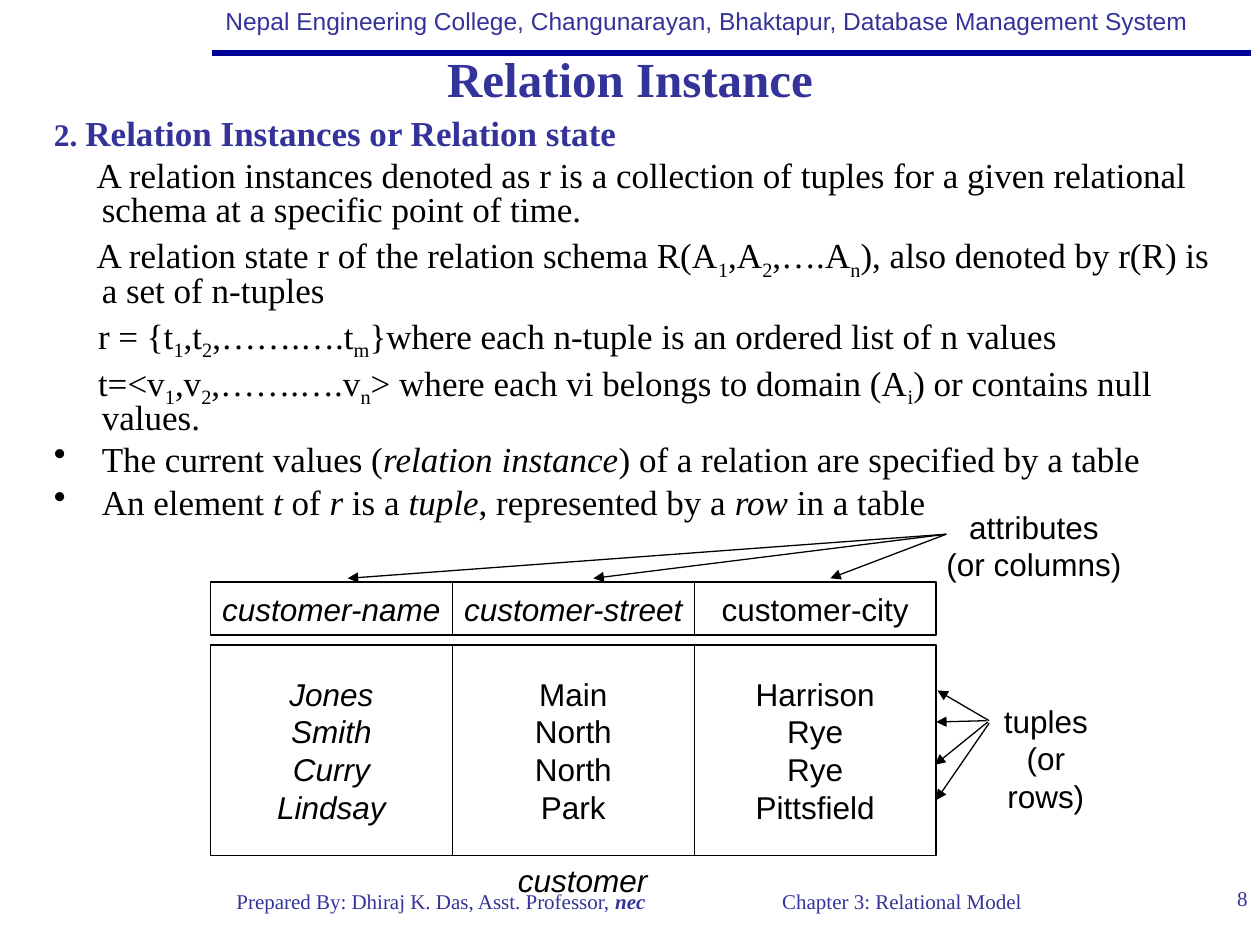
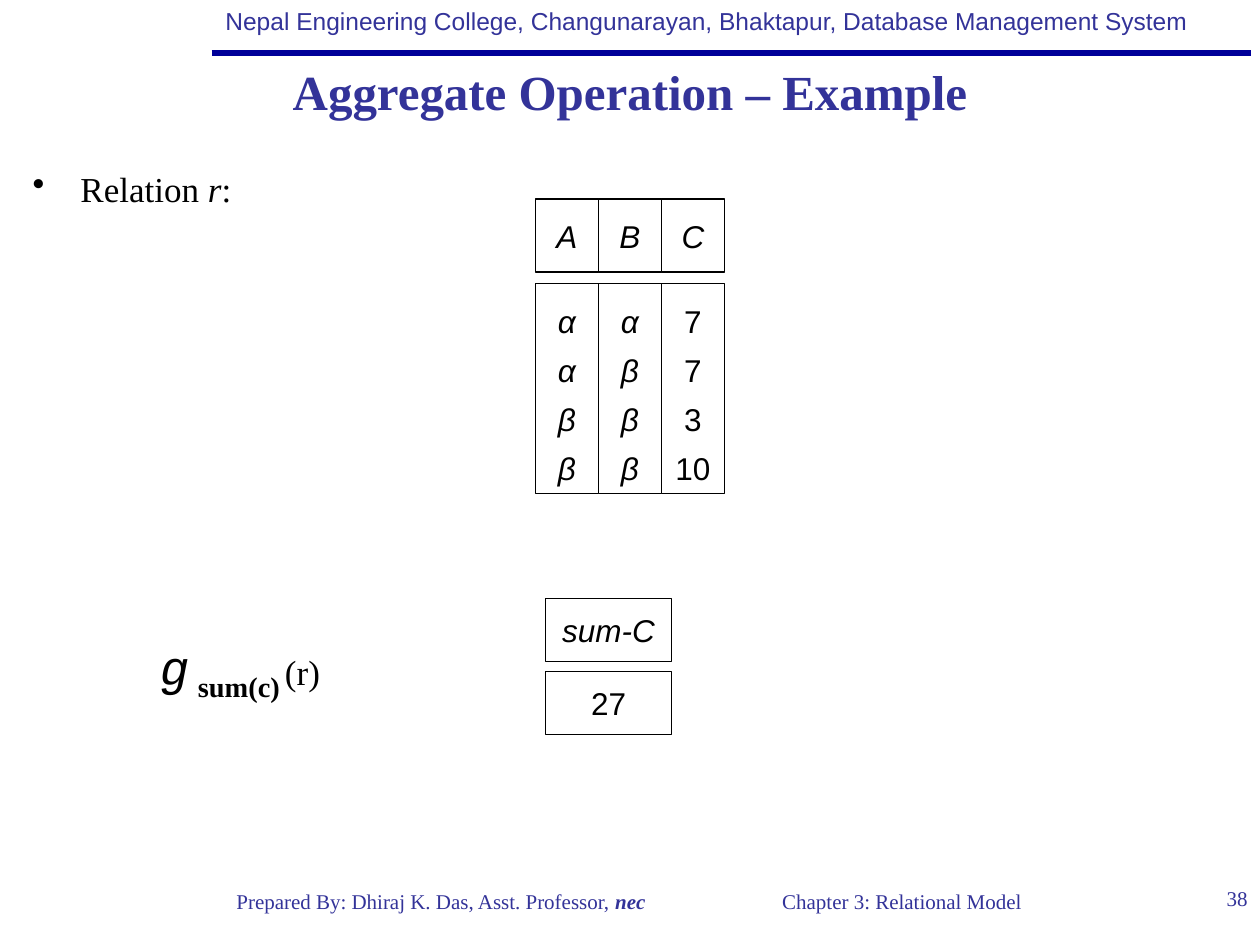
"""Build two database lecture slides on relation instances and aggregation."""
from dataclasses import dataclass, replace
from typing import NamedTuple

from lxml import etree
from pptx import Presentation
from pptx.dml.color import RGBColor
from pptx.enum.shapes import MSO_CONNECTOR, MSO_SHAPE
from pptx.enum.text import MSO_ANCHOR, PP_ALIGN
from pptx.oxml.ns import qn
from pptx.util import Inches, Pt

STRAIGHT = MSO_CONNECTOR.STRAIGHT
RECTANGLE = MSO_SHAPE.RECTANGLE
TOP, MIDDLE = MSO_ANCHOR.TOP, MSO_ANCHOR.MIDDLE
LEFT, CENTER, RIGHT = PP_ALIGN.LEFT, PP_ALIGN.CENTER, PP_ALIGN.RIGHT


@dataclass(frozen=True)
class Theme:
    """Colours, fonts and type sizes of the deck."""
    accent: str = "333399"
    rule: str = "000099"
    ink: str = "000000"
    paper: str = "FFFFFF"
    serif: str = "Times New Roman"
    sans: str = "Arial"
    mono: str = "Courier New"
    title: int = 28
    body: int = 20
    cell: int = 18
    header: int = 14
    footer: int = 12
    thin: float = 0.75
    thick: float = 3


THEME = Theme()


@dataclass(frozen=True)
class Style:
    """Character formatting of a run."""
    size: int = THEME.body
    font: str = THEME.serif
    color: str = THEME.ink
    bold: bool = False
    italic: bool = False
    sub: bool = False


BODY = Style()
CELL = Style(THEME.cell, THEME.sans)
CELL_ITALIC = replace(CELL, italic=True)
TITLE = Style(THEME.title, color=THEME.accent, bold=True)
HEADING = replace(TITLE, size=THEME.body)
HEADER = Style(THEME.header, THEME.sans, THEME.accent)
FOOTER = Style(THEME.footer, color=THEME.accent)


class Run(NamedTuple):
    """A piece of text in one style."""
    text: str
    style: Style = BODY


@dataclass(frozen=True)
class Para:
    """A paragraph; margin and indent are in inches."""
    runs: list[Run]
    align: PP_ALIGN = LEFT
    spacing: float = 1.0
    before: float = 0
    margin: float = 0
    indent: float = 0
    bullet: bool = False


class Box(NamedTuple):
    """Left, top, width and height in inches."""
    left: float
    top: float
    width: float
    height: float


class Arrow(NamedTuple):
    """Start and tip of an arrow in inches."""
    x1: float
    y1: float
    x2: float
    y2: float


class Column(NamedTuple):
    """Heading and values of a relation's attribute."""
    name: str
    values: list[str]
    name_style: Style = CELL_ITALIC
    value_style: Style = CELL_ITALIC


@dataclass(frozen=True)
class Relation:
    """A relation drawn as a heading row above a block of values."""
    left: float
    column_width: float
    head_top: float
    head_height: float
    body_top: float
    body_height: float
    columns: list[Column]
    spacing: float = 1.0


def alternate(*texts: str, **change: bool) -> list[Run]:
    """Make runs that switch between plain and changed body style."""
    styles = (BODY, replace(BODY, **change))
    return [Run(text, styles[i % 2]) for i, text in enumerate(texts)]


def centered(lines: list[str], style: Style, spacing: float = 1.0) -> list[Para]:
    """Make one centred paragraph for each line."""
    return [Para([Run(line, style)], CENTER, spacing) for line in lines]


def statement(runs: list[Run], indent: float = -0.04) -> Para:
    """Make a tight body paragraph with a hanging first line."""
    return Para(runs, spacing=0.8, before=5, margin=0.38, indent=indent)


def bullet(runs: list[Run], spacing: float = 1.0) -> Para:
    """Make a bulleted body paragraph."""
    return Para(runs, LEFT, spacing, 5, 0.38, -0.38, True)


def add_run(p, run: Run) -> None:
    """Append a formatted run to a paragraph."""
    r = p.add_run()
    r.text = run.text
    style, font = run.style, r.font
    font.name, font.size = style.font, Pt(style.size)
    font.bold, font.italic = style.bold, style.italic
    font.color.rgb = RGBColor.from_string(style.color)
    if style.sub:
        r._r.get_or_add_rPr().set("baseline", "-25000")


def fill_text(tf, paras: list[Para], anchor: MSO_ANCHOR, wrap: bool) -> None:
    """Write paragraphs into a text frame."""
    tf.word_wrap, tf.vertical_anchor = wrap, anchor
    for i, para in enumerate(paras):
        p = tf.add_paragraph() if i else tf.paragraphs[0]
        p.alignment, p.line_spacing = para.align, para.spacing
        p.space_before = Pt(para.before)
        p_pr = p._p.get_or_add_pPr()
        p_pr.set("marL", str(Inches(para.margin)))
        p_pr.set("indent", str(Inches(para.indent)))
        if para.bullet:
            color = etree.SubElement(p_pr, qn("a:buClr"))
            etree.SubElement(color, qn("a:srgbClr"), val=THEME.ink)
            etree.SubElement(p_pr, qn("a:buChar"), char="•")
        for run in para.runs:
            add_run(p, run)


def add_text(s, box: Box, paras: list[Para], anchor: MSO_ANCHOR = TOP,
             wrap: bool = True) -> None:
    """Add a text box."""
    sp = s.shapes.add_textbox(*map(Inches, box))
    fill_text(sp.text_frame, paras, anchor, wrap)


def add_cell(s, box: Box, paras: list[Para]) -> None:
    """Add an outlined white cell."""
    sp = s.shapes.add_shape(RECTANGLE, *map(Inches, box))
    sp.shadow.inherit = False
    sp.fill.solid()
    sp.fill.fore_color.rgb = RGBColor.from_string(THEME.paper)
    sp.line.color.rgb = RGBColor.from_string(THEME.ink)
    sp.line.width = Pt(THEME.thin)
    fill_text(sp.text_frame, paras, MIDDLE, False)


def add_line(s, ends: Arrow, color: str, width: float, head: bool = False) -> None:
    """Add a straight line, with an arrowhead at its end if asked."""
    line = s.shapes.add_connector(STRAIGHT, *map(Inches, ends))
    line.line.color.rgb = RGBColor.from_string(color)
    line.line.width = Pt(width)
    if head:
        etree.SubElement(line.line._get_or_add_ln(), qn("a:tailEnd"), type="triangle")
    etree.SubElement(line._element.spPr, qn("a:effectLst"))


def add_relation(s, rel: Relation) -> None:
    """Draw a relation column by column."""
    for i, col in enumerate(rel.columns):
        left = rel.left + i * rel.column_width
        add_cell(s, Box(left, rel.body_top, rel.column_width, rel.body_height),
                 centered(col.values, col.value_style, rel.spacing))
        add_cell(s, Box(left, rel.head_top, rel.column_width, rel.head_height),
                 centered([col.name], col.name_style))


def new_slide(prs, title: str, title_top: float, number: int):
    """Add a slide with the shared header, footers and title."""
    s = prs.slides.add_slide(prs.slide_layouts[6])
    add_line(s, Arrow(1.68, 0.42, 9.93, 0.42), THEME.rule, THEME.thick)
    college = "Nepal Engineering College, Changunarayan, Bhaktapur, Database Management System"
    add_text(s, Box(1.69, 0, 7.85, 0.34), [Para([Run(college, HEADER)])], wrap=False)
    author = [Run("Prepared By: Dhiraj K. Das, Asst. Professor, ", FOOTER),
              Run("nec", replace(FOOTER, bold=True, italic=True))]
    chapter = [Run("Chapter 3: Relational Model", FOOTER)]
    for left, runs in ((1.42, author), (5.08, chapter)):
        add_text(s, Box(left, 7, 4.16, 0.5), [Para(runs, CENTER)], wrap=False)
    add_text(s, Box(9.42, 6.98, 0.58, 0.5), [Para([Run(str(number), FOOTER)], RIGHT)])
    add_text(s, Box(0, title_top, 10, 0.58), centered([title], TITLE), MIDDLE)
    return s


def build_relation_instance(prs) -> None:
    """Build the slide that defines a relation instance."""
    s = new_slide(prs, "Relation Instance", 0.33, 8)
    add_text(s, Box(0.33, 0.9, 9.5, 3.35), [
        statement([Run("2. ", replace(HEADING, size=THEME.cell)),
                   Run("Relation Instances or Relation state", HEADING)], -0.38),
        statement([Run("A relation instances denoted as r is a collection of tuples "
                       "for a given relational schema at a specific point of time.")]),
        statement(alternate("A relation state r of the relation schema R(A", "1", ",A", "2",
                            ",….A", "n", "), also denoted by r(R) is a set of n-tuples",
                            sub=True)),
        statement(alternate("r = {t", "1", ",t", "2", ",…….….t", "m",
                            "}where each n-tuple is an ordered list of n values",
                            sub=True), -0.03),
        statement(alternate("t=<v", "1", ",v", "2", ",…….….v", "n",
                            "> where each vi belongs to domain (A", "i",
                            ") or contains null values.", sub=True), -0.03),
        bullet(alternate("The current values (", "relation instance",
                         ") of a relation are specified by a table", italic=True), 0.8),
        bullet(alternate("An element ", "t", " of ", "r", " is a ", "tuple",
                         ", represented by a ", "row ", "in a table", italic=True), 0.8),
    ])
    add_relation(s, Relation(1.67, 1.92, 4.62, 0.42, 5.12, 1.67, [
        Column("customer-name", ["Jones", "Smith", "Curry", "Lindsay"]),
        Column("customer-street", ["Main", "North", "North", "Park"], value_style=CELL),
        Column("customer-city", ["Harrison", "Rye", "Rye", "Pittsfield"], CELL, CELL),
    ]))
    add_text(s, Box(4.01, 6.78, 1.23, 0.4), centered(["customer"], CELL_ITALIC), MIDDLE, False)
    add_text(s, Box(7.41, 3.98, 1.59, 0.7),
             centered(["attributes", "(or columns)"], CELL), wrap=False)
    add_text(s, Box(7.71, 5.52, 1.18, 0.7), centered(["tuples", "(or rows)"], CELL), wrap=False)
    column_arrows = [Arrow(7.51, 4.24, x, 4.59) for x in (2.76, 4.71, 6.59)]
    row_arrows = [Arrow(7.85, 5.72, 7.44, 5.48), Arrow(7.83, 5.72, 7.43, 5.73),
                  Arrow(7.84, 5.73, 7.42, 6.07), Arrow(7.85, 5.74, 7.43, 6.35)]
    for arrow in column_arrows + row_arrows:
        add_line(s, arrow, THEME.ink, THEME.thin, head=True)


def build_aggregate_example(prs) -> None:
    """Build the slide that sums a column of a relation."""
    s = new_slide(prs, "Aggregate Operation – Example", 0.43, 38)
    add_text(s, Box(0.16, 1.28, 2.25, 0.59),
             [bullet(alternate("Relation ", "r", ":", italic=True))])
    add_relation(s, Relation(4.25, 0.5, 1.58, 0.58, 2.25, 1.67, [
        Column("A", ["α", "α", "β", "β"]),
        Column("B", ["α", "β", "β", "β"]),
        Column("C", ["7", "7", "3", "10"], value_style=CELL),
    ], spacing=1.3))
    bold = replace(BODY, bold=True)
    subscript = replace(bold, sub=True)
    formula = [Run("g", Style(THEME.title, THEME.mono, italic=True)), Run(" ", bold),
               Run("sum(c)", replace(subscript, size=THEME.title)),
               Run(" ", subscript), Run("(r)")]
    add_text(s, Box(1.17, 5, 1.77, 0.61),
             [Para(formula, before=8.8, margin=0.38, indent=-0.38)])
    add_relation(s, Relation(4.33, 1, 4.75, 0.5, 5.33, 0.5,
                             [Column("sum-C", ["27"], value_style=CELL)]))


def main() -> None:
    """Build and save the deck."""
    prs = Presentation()
    prs.slide_width, prs.slide_height = Inches(10), Inches(7.5)
    build_relation_instance(prs)
    build_aggregate_example(prs)
    prs.save("out.pptx")


if __name__ == "__main__":
    main()
